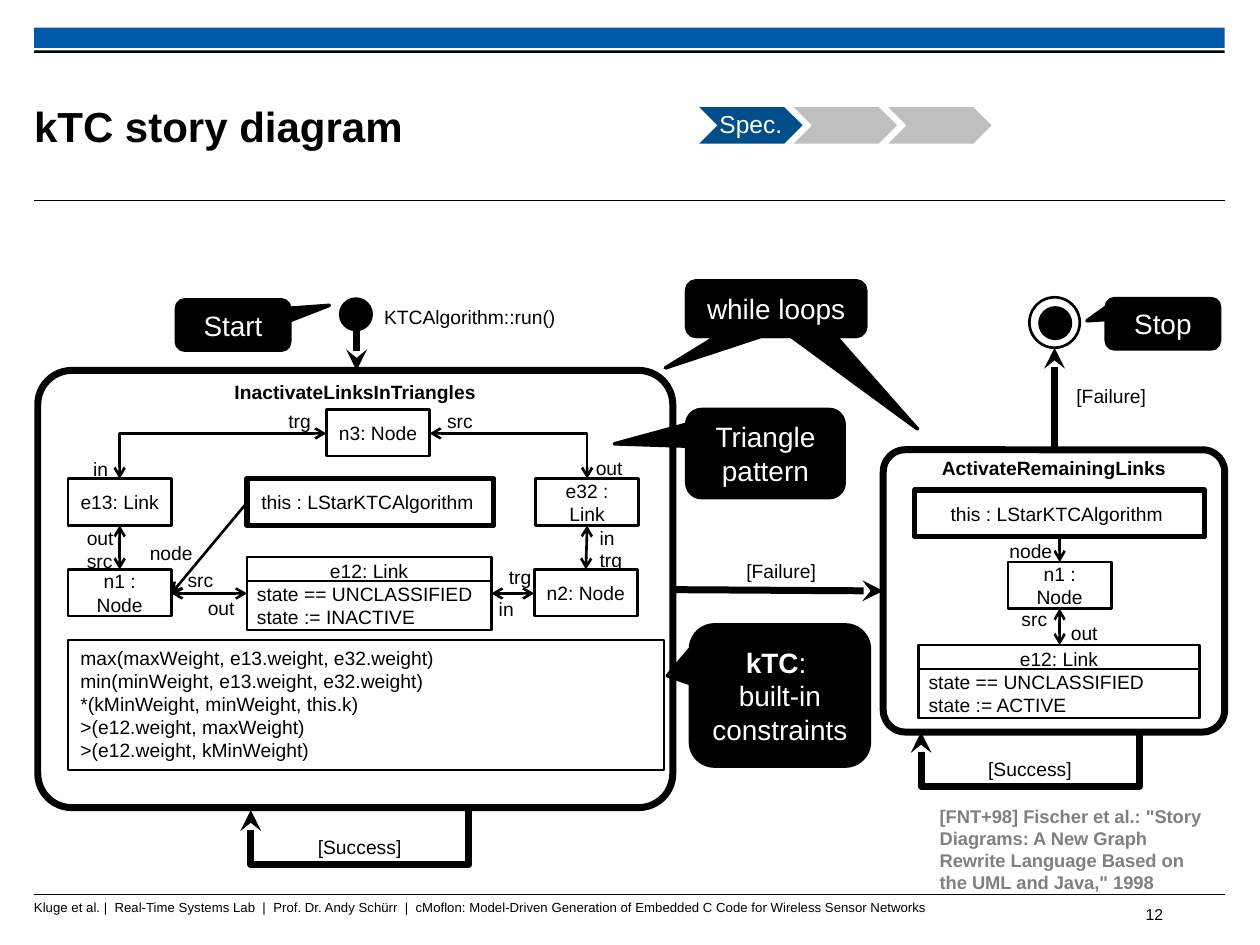
import pptx
import pptx.dml.color
import pptx.enum.shapes
import pptx.enum.text
import pptx.oxml
import pptx.oxml.ns
import pptx.util

Inches = pptx.util.Inches
Pt = pptx.util.Pt
RGBColor = pptx.dml.color.RGBColor
Shape = pptx.enum.shapes.MSO_SHAPE
Wire = pptx.enum.shapes.MSO_CONNECTOR
Align = pptx.enum.text.PP_ALIGN
Anchor = pptx.enum.text.MSO_ANCHOR
qn = pptx.oxml.ns.qn

BLACK = RGBColor(0x00, 0x00, 0x00)
WHITE = RGBColor(0xFF, 0xFF, 0xFF)
BLUE = RGBColor(0x00, 0x5A, 0xA9)
NAVY = RGBColor(0x00, 0x4E, 0x8A)
SILVER = RGBColor(0xBF, 0xBF, 0xBF)
GRAY = RGBColor(0x80, 0x80, 0x80)

deck = pptx.Presentation()
deck.slide_width = Inches(10)
deck.slide_height = Inches(7.5)
slide = deck.slides.add_slide(deck.slide_layouts[5])
shapes = slide.shapes


def put(text, at, kind=None, item=None, size=11, color=BLACK, bold=False,
        align=Align.LEFT, rest=None, anchor=Anchor.TOP, inset=(0.1, 0.05, 0.1, 0.05),
        wrap=True, space=None, fill=None, line=None, adjust=()):
    place = [Inches(n) for n in at]
    if item:
        item.left, item.top, item.width, item.height = place
    elif kind is None:
        item = shapes.add_textbox(*place)
    else:
        item = shapes.add_shape(kind, *place)
        item.shadow.inherit = False
        for i, part in enumerate(adjust):
            item.adjustments[i] = part
        if fill is None:
            item.fill.background()
        else:
            item.fill.solid()
            item.fill.fore_color.rgb = fill
        if line is None:
            item.line.fill.background()
        else:
            item.line.color.rgb = BLACK
            item.line.width = Pt(line)
    frame = item.text_frame
    frame.word_wrap = wrap
    frame.vertical_anchor = anchor
    (frame.margin_left, frame.margin_top,
     frame.margin_right, frame.margin_bottom) = [Inches(n) for n in inset]
    frame.text = text
    for i, para in enumerate(frame.paragraphs):
        para.alignment = rest if i and rest else align
        para.line_spacing = space
        for run in para.runs:
            run.font.name = "Arial"
            run.font.size = Pt(size)
            run.font.bold = bold
            run.font.color.rgb = color
    return item


def link(start, end, width=1.5, head=None, tail=None, kind=Wire.STRAIGHT):
    wire = shapes.add_connector(kind, *[Inches(n) for n in start + end])
    wire.line.color.rgb = BLACK
    wire.line.width = Pt(width)
    line = wire.line._get_or_add_ln()
    for tag, tip in (("a:headEnd", head), ("a:tailEnd", tail)):
        if tip:
            line.append(pptx.oxml.parse_xml(
                f'<{tag} xmlns:a="{pptx.oxml.ns.nsdecls("a").split(chr(34))[1]}" type="{tip}"/>'))
    wire._element.spPr.append(pptx.oxml.parse_xml(
        f'<a:effectLst {pptx.oxml.ns.nsdecls("a")}/>'))
    return wire


put("", (0.27, 0.22, 9.45, 0.16), Shape.RECTANGLE, fill=BLUE)
put("", (0.27, 0.4, 9.45, 0.02), Shape.RECTANGLE, fill=BLACK)
for y in (1.59, 7.1):
    link((0.27, y), (9.72, y), 0.6)
put("kTC story diagram", (0.27, 0.54, 7.52, 0.92), item=shapes.title, size=24,
    bold=True, anchor=Anchor.MIDDLE, inset=(0, 0, 0, 0))
put("Kluge et al. |  Real-Time Systems Lab  |  Prof. Dr. Andy Schürr  |  "
    "cMoflon: Model-Driven Generation of Embedded C Code for Wireless Sensor Networks",
    (0.27, 7.14, 9.33, 0.25), size=7.5, inset=(0, 0, 0, 0))
put("12", (7.88, 7.12, 1.45, 0.27), size=9, align=Align.RIGHT, anchor=Anchor.MIDDLE)

put("", (2.69, 2.36, 0.27, 0.27), Shape.OVAL, fill=BLACK)
put("", (8.17, 2.36, 0.4, 0.4), Shape.OVAL, fill=WHITE, line=1.5)
put("", (8.24, 2.43, 0.27, 0.27), Shape.OVAL, fill=BLACK)

for start, end in (((2.83, 2.63), (2.83, 2.94)), ((8.37, 3.57), (8.37, 2.76)),
                   ((5.35, 4.68), (7.01, 4.69))):
    link(start, end, 4, tail="stealth")

for text, at in (("InactivateLinksInTriangles", (0.3, 2.94, 5.04, 3.47)),
                 ("ActivateRemainingLinks", (7.01, 3.57, 2.71, 2.24))):
    put(text, at, Shape.ROUNDED_RECTANGLE, bold=True, align=Align.CENTER,
        inset=(0.1, 0, 0.1, 0.05), wrap=False, line=4, adjust=(0.078,))

for x, y in ((2.85, 5.56), (8.17, 4.94)):
    loop = link((x, y), (x + 0.01, y + 1.73), 4, tail="stealth", kind=Wire.ELBOW)
    form = loop._element.spPr
    form.find(qn("a:xfrm")).set("rot", "5400000")
    guides = form.find(qn("a:prstGeom")).find(qn("a:avLst"))
    guides.append(pptx.oxml.parse_xml(
        f'<a:gd {pptx.oxml.ns.nsdecls("a")} name="adj1" fmla="val 4500000"/>'))

put("KTCAlgorithm::run()", (2.95, 2.37, 1.57, 0.29), wrap=False)
for text, x, y, w in (("[Success]", 2.42, 6.58, 0.87), ("[Success]", 7.74, 5.96, 0.87),
                      ("[Failure]", 5.82, 4.39, 0.76), ("[Failure]", 8.44, 3, 0.76)):
    put(text, (x, y, w, 0.29), align=Align.CENTER, wrap=False)

put("max(maxWeight, e13.weight, e32.weight)\nmin(minWeight, e13.weight, e32.weight)\n"
    "*(kMinWeight, minWeight, this.k)\n>(e12.weight, maxWeight)\n>(e12.weight, kMinWeight)",
    (0.54, 5.08, 4.73, 1.03), Shape.RECTANGLE, line=1)

state = "e12: Link\nstate == UNCLASSIFIED\nstate := "
this = "this : LStarKTCAlgorithm "
for text, x, y, w, h, line in (
        (state + "INACTIVE", 1.96, 4.42, 1.94, 0.58, 1.5),
        (state + "ACTIVE", 7.29, 5.12, 2.23, 0.58, 1.5),
        (this, 1.96, 3.8, 1.96, 0.37, 3),
        (this, 7.26, 3.89, 2.3, 0.37, 3),
        ("n2: Node", 4.24, 4.52, 0.82, 0.37, 1.5),
        ("n3: Node", 2.59, 3.25, 0.82, 0.37, 1.5),
        ("e13: Link", 0.54, 3.8, 0.82, 0.37, 1.5),
        ("n1 : Node", 0.54, 4.52, 0.82, 0.37, 1.5),
        ("e32 : Link", 4.25, 3.8, 0.82, 0.37, 1.5),
        ("n1 : Node", 8, 4.46, 0.82, 0.37, 1.5)):
    put(text, (x, y, w, h), Shape.RECTANGLE, align=Align.CENTER, rest=Align.LEFT,
        anchor=Anchor.MIDDLE, inset=(0.08, 0.08, 0.08, 0.08), line=line)

for start, end in (((0.95, 4.17), (0.95, 4.52)), ((1.96, 4.71), (1.36, 4.71)),
                   ((4.24, 4.71), (3.9, 4.71)), ((4.66, 4.17), (4.65, 4.52)),
                   ((8.41, 5.12), (8.41, 4.83))):
    link(start, end, head="arrow", tail="arrow")
for start, end in (((1.96, 3.99), (1.36, 4.71)), ((8.41, 4.26), (8.41, 4.46))):
    link(start, end, tail="arrow")
for start, end in (((2.59, 3.44), (0.95, 3.8)), ((3.41, 3.44), (4.66, 3.8))):
    bend = link(start, end, head="arrow", tail="arrow", kind=Wire.ELBOW)
    bend._element.spPr.find(qn("a:prstGeom")).set("prst", "bentConnector2")
for start, end in (((1.96, 4.61), (3.9, 4.61)), ((7.3, 5.31), (9.51, 5.31))):
    link(start, end)

wide = {"in": 0.32, "trg": 0.38, "src": 0.41, "out": 0.42, "node": 0.55}
for text, x, y, align in (
        ("in", 0.64, 3.58, Align.LEFT), ("in", 4.66, 4.13, Align.LEFT),
        ("in", 3.86, 4.69, Align.LEFT), ("trg", 2.19, 3.2, Align.LEFT),
        ("trg", 4.66, 4.3, Align.LEFT), ("trg", 3.94, 4.44, Align.LEFT),
        ("src", 1.39, 4.46, Align.LEFT), ("src", 0.59, 4.31, Align.LEFT),
        ("src", 3.45, 3.2, Align.LEFT), ("src", 8, 4.77, Align.RIGHT),
        ("out", 0.59, 4.13, Align.LEFT), ("out", 4.63, 3.57, Align.LEFT),
        ("out", 1.54, 4.68, Align.RIGHT), ("out", 8.4, 4.88, Align.LEFT),
        ("node", 1.09, 4.25, Align.LEFT), ("node", 7.9, 4.23, Align.RIGHT)):
    put(text, (x, y, wide[text], 0.29), align=align, wrap=False)

for i, (text, fill) in enumerate((("Spec.", NAVY), ("", SILVER), ("", SILVER))):
    put(text, (5.55 + 0.75 * i, 0.85, 0.82, 0.29), Shape.CHEVRON, size=14, color=WHITE,
        align=Align.CENTER, anchor=Anchor.MIDDLE, wrap=False, space=0.93, fill=fill)

put('[FNT+98] Fischer et al.: "Story Diagrams: A New Graph Rewrite Language '
    'Based on the UML and Java," 1998',
    (7.36, 6.34, 2.36, 0.81), size=10.5, color=GRAY, bold=True)

for text, at, tip in (
        ("Triangle pattern", (5.45, 3.25, 1.25, 0.7), (-0.96, -0.11)),
        ("kTC", (5.48, 4.96, 1.42, 1.12), (-0.63, -0.14)),
        ("while loops", (5.45, 2.23, 1.42, 0.44), (-0.62, 1.07)),
        ("while loops", (5.45, 2.23, 1.42, 0.44), (0.79, 2.17)),
        ("Start", (1.4, 2.38, 0.9, 0.4), (0.85, -0.39)),
        ("Stop", (8.78, 2.37, 0.9, 0.4), (-0.67, -0.06))):
    call = put(text, at, Shape.ROUNDED_RECTANGULAR_CALLOUT, size=16, color=WHITE,
               align=Align.CENTER, anchor=Anchor.MIDDLE, fill=BLACK, line=2,
               adjust=tip + (0.17,))
    if text == "kTC":
        para = call.text_frame.paragraphs[0]
        para.runs[0].font.bold = True
        for more in (": ", "built-in constraints"):
            if more != ": ":
                para.add_line_break()
            run = para.add_run()
            run.text = more
            run.font.name = "Arial"
            run.font.size = Pt(16)
            run.font.color.rgb = WHITE

deck.save("out.pptx")
